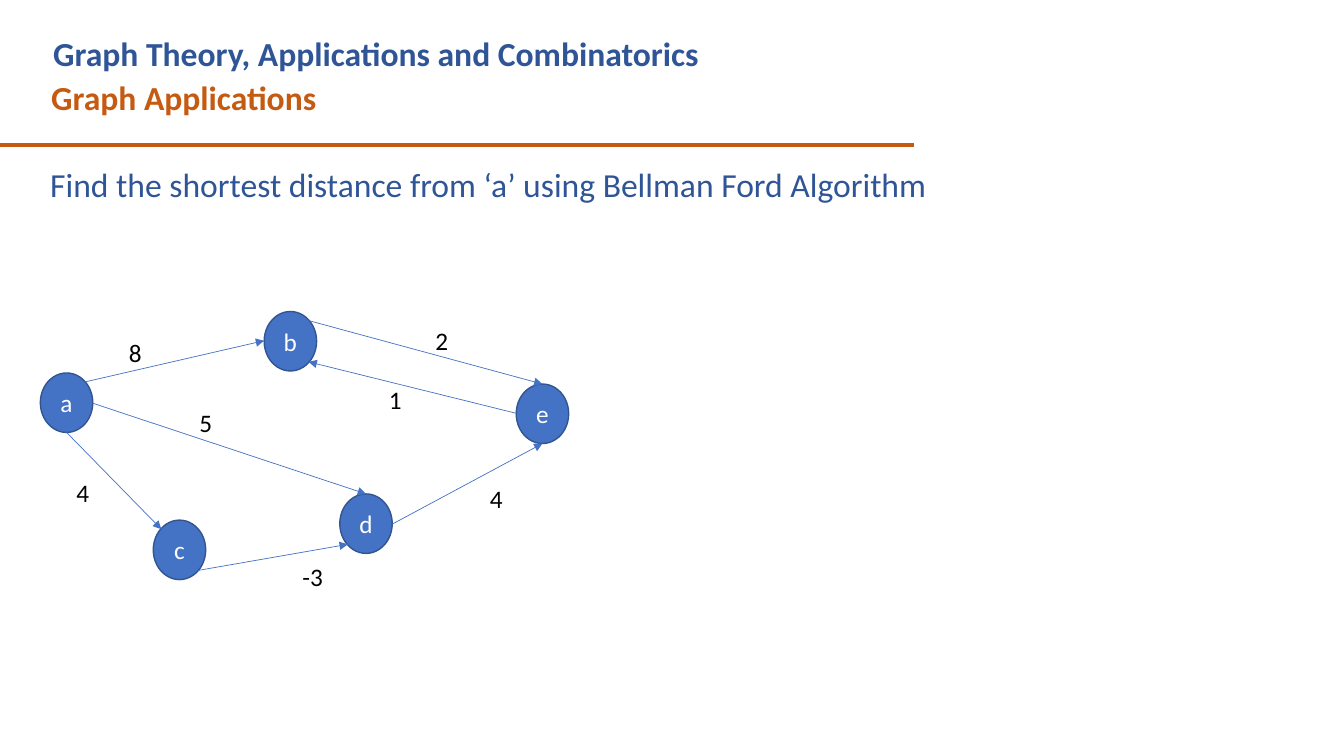
from math import cos, radians, sin

from lxml import etree
from pptx import Presentation
from pptx import util as u
from pptx.dml.color import RGBColor
from pptx.enum import shapes, text
from pptx.oxml.ns import qn

PX = 9144
FONT = "Calibri"
NAVY, ORANGE, BLUE, EDGE = "2F5597", "C55A11", "4472C4", "325491"
BLACK, WHITE = "000000", "FFFFFF"

NODE_W, NODE_H = 52, 59
NODES = {"a": (0, 61), "b": (222, 0), "c": (112, 207), "d": (297, 181), "e": (472, 72)}
ANGLES = {"E": 0, "SE": 45, "S": 90, "SW": 135, "W": 180, "NW": 225, "N": 270, "NE": 315}
EDGES = [
    ("a", "NE", "b", "W", "8", (78, 21, 52)),
    ("b", "NE", "e", "N", "2", (382, 9, 69)),
    ("e", "W", "b", "SE", "1", (336, 67, 84)),
    ("d", "E", "e", "S", "4", (436, 166, 64)),
    ("a", "S", "c", "NW", "4", (26, 160, 73)),
    ("c", "SE", "d", "SW", "-3", (250, 243, 99)),
    ("a", "E", "d", "N", "5", (148, 90, 53)),
]


def px(n):
    """Turn px into EMU."""
    return u.Emu(round(n) * PX)


def rgb(value):
    """Turn a hex string into a colour."""
    return RGBColor.from_string(value)


def style(p, size, color, bold=False, align=None):
    """Format a paragraph and its runs."""
    p.alignment = align
    for r in p.runs:
        r.font.name, r.font.size, r.font.bold = FONT, u.Pt(size), bold
        r.font.color.rgb = rgb(color)


def add_label(s, words, box, size, color, bold=False, align=None):
    """Add a text box that grows with its text."""
    tf = s.shapes.add_textbox(*map(px, box)).text_frame
    tf.word_wrap = True
    tf.auto_size = text.MSO_AUTO_SIZE.SHAPE_TO_FIT_TEXT
    tf.text = words
    style(tf.paragraphs[0], size, color, bold, align)


def add_line(s, start, end, color, width, arrow=False):
    """Add a straight line, with an arrowhead at its end if asked."""
    line = s.shapes.add_connector(shapes.MSO_CONNECTOR.STRAIGHT, *map(px, start + end))
    line.line.color.rgb = rgb(color)
    line.line.width = u.Pt(width)
    if arrow:
        etree.SubElement(line.line._get_or_add_ln(), qn("a:tailEnd"), type="triangle")
    etree.SubElement(line._element.spPr, qn("a:effectLst"))


def add_node(s, name, x, y):
    """Add a round graph node with its name."""
    sp = s.shapes.add_shape(shapes.MSO_SHAPE.OVAL, *map(px, (x, y, NODE_W, NODE_H)))
    sp.shadow.inherit = False
    sp.fill.solid()
    sp.fill.fore_color.rgb = rgb(BLUE)
    sp.line.color.rgb = rgb(EDGE)
    sp.line.width = u.Pt(1)
    tf = sp.text_frame
    tf.vertical_anchor = text.MSO_ANCHOR.MIDDLE
    tf.text = name
    style(tf.paragraphs[0], 18, WHITE, align=text.PP_ALIGN.CENTER)


def rim(x, y, name, side):
    """Give the point on one side of a node."""
    dx, dy = NODES[name]
    angle = radians(ANGLES[side])
    return (x + dx + NODE_W / 2 * (1 + cos(angle)),
            y + dy + NODE_H / 2 * (1 + sin(angle)))


def header(s, x, y, w):
    """Place the course title, the topic and the rule below them."""
    add_label(s, "Graph Applications", (x + 42, y + 43, w - 33, 50), 24, ORANGE, True)
    add_line(s, (x, y + 116), (x + w, y + 116), ORANGE, 3)
    add_label(s, "Graph Theory, Applications and Combinatorics",
              (x + 44, y, w - 88, 50), 24, NAVY, True)


def task(s, x, y, w):
    """Place the task statement."""
    add_label(s, "Find the shortest distance from ‘a’ using Bellman Ford Algorithm",
              (x, y, w, 50), 24, NAVY, align=text.PP_ALIGN.JUSTIFY)


def graph(s, x, y):
    """Place the weighted directed graph."""
    for name, (dx, dy) in NODES.items():
        add_node(s, name, x + dx, y + dy)
    for tail, out, head, into, weight, (dx, dy, w) in EDGES:
        add_line(s, rim(x, y, tail, out), rim(x, y, head, into), BLUE, 0.5, True)
        add_label(s, weight, (x + dx, y + dy, w, 40), 18, BLACK)


def main():
    """Build and save the slide."""
    prs = Presentation()
    prs.slide_width, prs.slide_height = px(1333), px(750)
    s = prs.slides.add_slide(prs.slide_layouts[6])
    header(s, -1, 28, 908)
    task(s, 40, 158, 1126)
    graph(s, 40, 309)
    prs.save("out.pptx")


if __name__ == "__main__":
    main()
